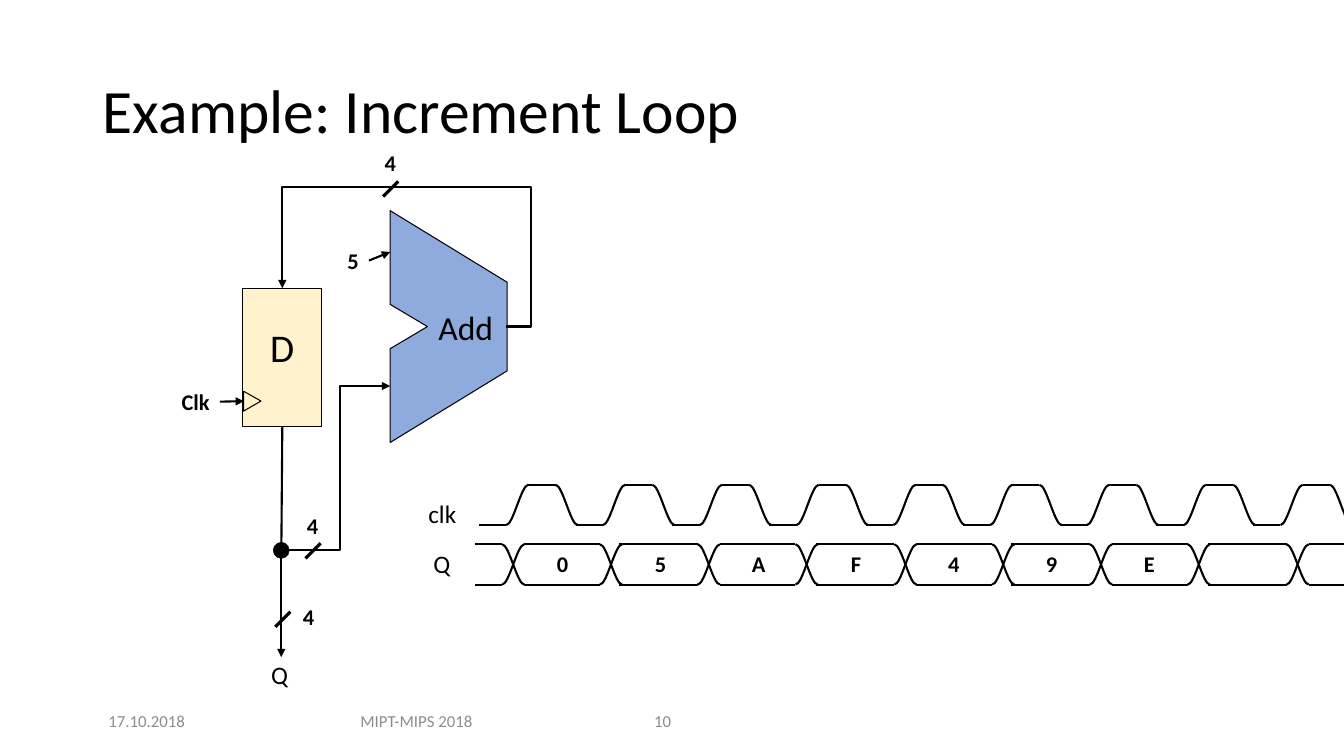
from lxml import etree
from pptx import Presentation
from pptx.dml.color import RGBColor
from pptx.enum.shapes import MSO_CONNECTOR, MSO_SHAPE
from pptx.enum.text import MSO_ANCHOR, MSO_AUTO_SIZE, PP_ALIGN
from pptx.oxml.ns import qn
from pptx.util import Pt

PX = 9144  # 100 px to the inch
WIDE, HIGH = 1333, 750
FONT = "Calibri"
BLACK, WHITE, GREY = "000000", "FFFFFF", "8C8C8C"
LEFT, MID = PP_ALIGN.LEFT, PP_ALIGN.CENTER
STRAIGHT, ELBOW = MSO_CONNECTOR.STRAIGHT, MSO_CONNECTOR.ELBOW
hue = RGBColor.from_string

deck = Presentation()
deck.slide_width, deck.slide_height = WIDE * PX, HIGH * PX
slide = deck.slides.add_slide(deck.slide_layouts[5])
shapes = slide.shapes


def label(text, x, y, w, h, size, bold=False, align=MID, color=BLACK, wrap=False):
    box = shapes.add_textbox(x * PX, y * PX, w * PX, h * PX)
    frame = box.text_frame
    frame.word_wrap = wrap
    frame.auto_size = MSO_AUTO_SIZE.SHAPE_TO_FIT_TEXT
    para = frame.paragraphs[0]
    para.text, para.alignment = text, align
    para.font.name, para.font.size, para.font.bold = FONT, Pt(size), bold
    para.font.color.rgb = hue(color)
    return box


def wire(x1, y1, x2, y2, kind=STRAIGHT, weight=1.5, arrow=False):
    line = shapes.add_connector(kind, x1 * PX, y1 * PX, x2 * PX, y2 * PX)
    line.line.color.rgb = hue(BLACK)
    line.line.width = Pt(weight)
    props = line.element.spPr
    if arrow:
        etree.SubElement(props.find(qn("a:ln")), qn("a:tailEnd"), type="triangle")
    etree.SubElement(props, qn("a:effectLst"))
    return line


# Title and footer
title = shapes.title
title.left, title.top, title.width, title.height = 92 * PX, 40 * PX, 1150 * PX, 145 * PX
title.text_frame.auto_size = MSO_AUTO_SIZE.NONE
title.text_frame.vertical_anchor = MSO_ANCHOR.MIDDLE
head = title.text_frame.paragraphs[0]
head.text, head.alignment, head.line_spacing = "Example: Increment Loop", LEFT, 0.9
head.font.name, head.font.size = FONT, Pt(44)
head.font.color.rgb = hue(BLACK)

for text, x, w, align in (("17.10.2018", 92, 107, MID),
                          ("MIPT-MIPS 2018", 334, 158, MID),
                          ("10", 639, 79, LEFT)):
    foot = label(text, x, 695, w, 40, 12, align=align, color=GREY, wrap=True)
    foot.text_frame.auto_size = MSO_AUTO_SIZE.NONE
    foot.text_frame.vertical_anchor = MSO_ANCHOR.MIDDLE

# Register, junction dot and adder, each kept with its fill and line width
reg = shapes.add_shape(MSO_SHAPE.RECTANGLE, 241 * PX, 286 * PX, 78 * PX, 137 * PX)
notch = shapes.add_shape(MSO_SHAPE.ISOSCELES_TRIANGLE,
                         236 * PX, 387 * PX, 20 * PX, 17 * PX)
notch.rotation = 330
dot = shapes.add_shape(MSO_SHAPE.OVAL, 271 * PX, 538 * PX, 16 * PX, 16 * PX)
pen = shapes.build_freeform(387, 209, scale=PX)
pen.add_line_segments([(387, 302), (424, 324), (387, 346), (387, 439),
                       (503, 368), (503, 280)], close=True)
adder = pen.convert_to_shape()
solids = [(reg, "FFF2CC", 0.75), (notch, "FFF2CC", 0.75),
          (dot, BLACK, 0.25), (adder, "8FAADC", 0.75)]

label("D", 258, 316, 44, 57, 28)
add = label("Add", 422, 304, 80, 40, 24, wrap=True).text_frame
add.margin_left = add.margin_right = add.margin_top = add.margin_bottom = 0
five = label("5", 334, 240, 32, 37, 16, bold=True)
clk = label("Clk", 170, 380, 48, 37, 16, bold=True)
label("Q", 259, 649, 61, 40, 18, align=LEFT, wrap=True)

# Wiring
back = wire(502, 324, 280, 286, ELBOW, arrow=True)
geom = back.element.spPr.find(qn("a:prstGeom"))
geom.set("prst", "bentConnector4")
for name, value in (("adj1", -11300), ("adj2", 364500)):
    etree.SubElement(geom.find(qn("a:avLst")), qn("a:gd"),
                     name=name, fmla=f"val {value}")
wire(287, 546, 387, 383, ELBOW, arrow=True)
wire(366, 259, 387, 250, arrow=True).begin_connect(five, 3)
wire(218, 399, 242, 398, arrow=True).begin_connect(clk, 3)
wire(280, 423, 279, 554).begin_connect(reg, 2)
wire(279, 554, 279, 652, arrow=True)

# Bus width marks: slash corner, then label corner
for x, y, tx, ty in ((303, 554, 294, 503), (380, 195, 371, 143), (273, 622, 290, 593)):
    wire(x, y, x + 15, y - 15, weight=2.25)
    label("4", tx, ty, 32, 37, 16, bold=True)

# Timing diagram: base start, rise start, top length, base and top level
waves = [(475 + 96 * i, 502 + 96 * i, 27, 521, 481) for i in range(9)]
for low, high in ((580, 540), (540, 580)):
    for i in range(5):
        x = 498 + i * 389 // 2
        waves.append((max(471, x - 78), x, 75, low, high))

for base, x, top, low, high in waves:
    end = x + 22 + top
    wire(base, low, x, low)
    wire(x + 22, high, min(end, WIDE), high)
    edges = [(x, 1)]
    if end < WIDE:
        edges.append((end + 22, -1))
    for start, way in edges:
        pen = shapes.build_freeform(start, low, scale=PX)
        pen.add_line_segments([(start + 7 * way, low), (start + 15 * way, high),
                               (start + 22 * way, high)], close=False)
        edge = pen.convert_to_shape()
        # Turn the three segments into one Bézier curve
        track = edge.element.find(".//" + qn("a:path"))
        curve = etree.SubElement(track, qn("a:cubicBezTo"))
        for seg in track.findall(qn("a:lnTo")):
            curve.append(seg[0])
            track.remove(seg)
        solids.append((edge, WHITE, 1.5))

label("clk", 415, 489, 61, 40, 18, align=LEFT, wrap=True)
label("Q", 420, 539, 61, 40, 18, align=LEFT, wrap=True)
for i, value in enumerate("05AF49E"):
    label(value, 542 + 97 * i, 541, 32, 37, 16, bold=True)

for solid, fill, weight in solids:
    solid.shadow.inherit = False
    solid.fill.solid()
    solid.fill.fore_color.rgb = hue(fill)
    solid.line.color.rgb = hue(BLACK)
    solid.line.width = Pt(weight)

deck.save("out.pptx")
